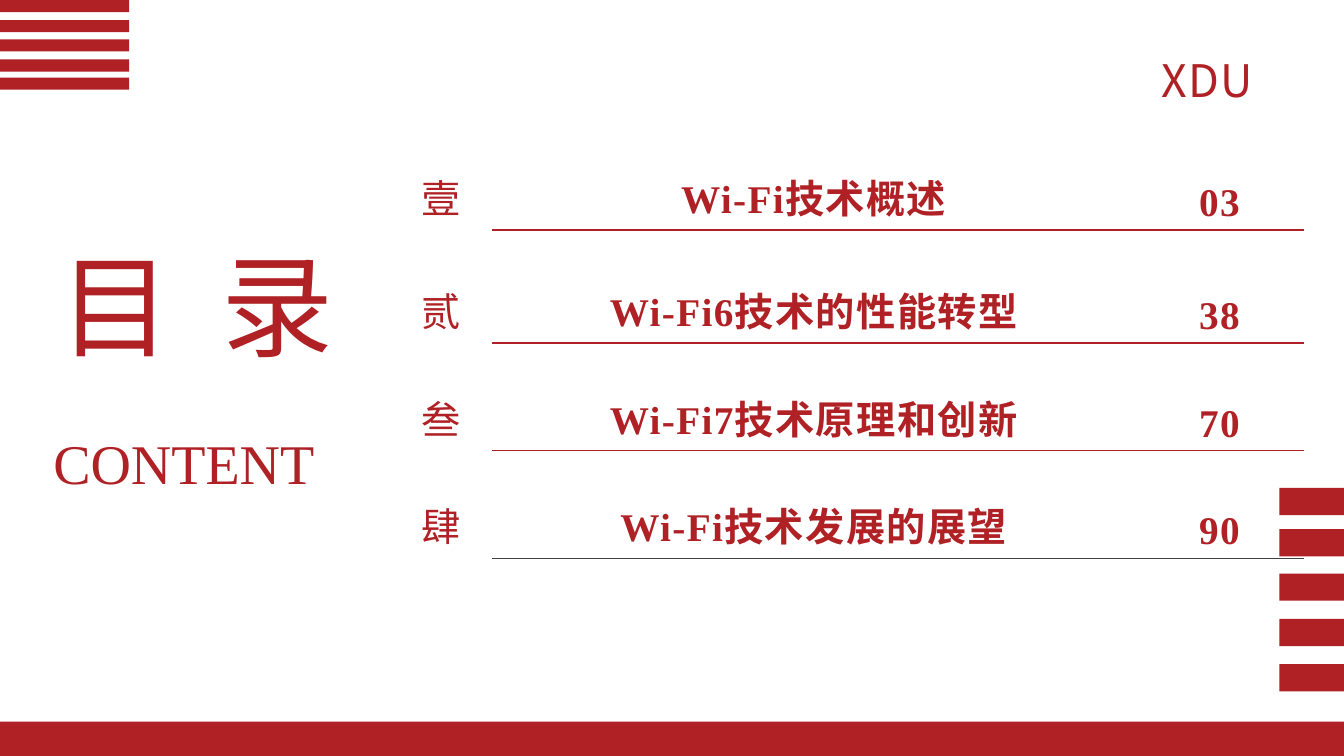
"""Builds the contents slide of a Wi-Fi technology lecture."""
from lxml.etree import SubElement
from pptx import Presentation
from pptx.dml.color import RGBColor
from pptx.enum.shapes import MSO_SHAPE
from pptx.enum.text import MSO_ANCHOR, PP_ALIGN
from pptx.oxml.ns import qn
from pptx.util import Inches, Pt

COLORS = {"red": "AF2125", "dark": "404040"}
SANS, SERIF = "Noto Sans CJK SC", "Times New Roman"


def write(frame, text, size, font, bold=False, spacing=0, align=PP_ALIGN.LEFT, leading=1.0):
    """Fill a text frame with one styled paragraph."""
    frame.word_wrap = True
    paragraph = frame.paragraphs[0]
    paragraph.alignment, paragraph.line_spacing = align, leading
    run = paragraph.add_run()
    run.text = text
    for key, value in {"size": Pt(size), "name": font, "bold": bold}.items():
        setattr(run.font, key, value)
    run.font.color.rgb = RGBColor.from_string(COLORS["red"])
    properties = run.font._element
    properties.set("spc", str(spacing * 100))
    SubElement(properties, qn("a:ea")).set("typeface", SANS)


def set_border(cell, side, color=None, width=1.5):
    """Draw one side of a cell, or hide it when no color is given."""
    line = SubElement(cell._tc.get_or_add_tcPr(), qn(f"a:{side}"))
    if color:
        line.set("w", str(Pt(width)))
        fill = SubElement(line, qn("a:solidFill"))
        SubElement(fill, qn("a:srgbClr")).set("val", COLORS[color])
    else:
        SubElement(line, qn("a:noFill"))


prs = Presentation()
prs.slide_width, prs.slide_height = Inches(13.33), Inches(7.5)
slide = prs.slides.add_slide(prs.slide_layouts[6])

headings = [
    ((11.42, 0.31, 1.21, 0.74), "XDU", 32, SANS, 1, 1.3),
    ((0.49, 2.3, 3.11, 1.45), "目 录", 80, SANS, 9, 1.0),
    ((0.43, 4.2, 3.35, 0.77), "CONTENT", 40, SERIF, 0, 1.0),
]
for place, text, size, font, spacing, leading in headings:
    heading = slide.shapes.add_textbox(*map(Inches, place))
    write(heading.text_frame, text, size, font, spacing=spacing, leading=leading)

chapters = [
    ("壹", "Wi-Fi技术概述", "03"),
    ("贰", "Wi-Fi6技术的性能转型", "38"),
    ("叁", "Wi-Fi7技术原理和创新", "70"),
    ("肆", "Wi-Fi技术发展的展望", "90"),
]
contents = slide.shapes.add_table(
    len(chapters), 3, Inches(3.86), Inches(1.21), Inches(9.07), Inches(4.32)).table
contents.first_row = contents.horz_banding = False
for column, width in zip(contents.columns, (1.02, 6.38, 1.67)):
    column.width = Inches(width)
for row, height in zip(contents.rows, (1.07, 1.12, 1.07, 1.07)):
    row.height = Inches(height)

last = len(chapters) - 1
for r, chapter in enumerate(chapters):
    for c, text in enumerate(chapter):
        cell = contents.cell(r, c)
        cell.vertical_anchor = MSO_ANCHOR.BOTTOM
        write(cell.text_frame, text, 28, SERIF if c else SANS, bold=c > 0,
              spacing=1, align=PP_ALIGN.CENTER, leading=1.5)
        for side in ("lnL", "lnR"):
            set_border(cell, side)
        set_border(cell, "lnT", "red" if c and r else None)
        if c and r == last:
            set_border(cell, "lnB", "dark", 0.75)
        else:
            set_border(cell, "lnB", "red" if c else None)
        cell.fill.background()

bars = [(0, 7.16, 13.33, 0.34)]
bars += [(0, top, 1.28, 0.12) for top in (0, 0.2, 0.39, 0.59, 0.77)]
bars += [(12.69, top, 0.64, 0.27) for top in (6.59, 6.14, 5.69, 5.25, 4.84)]
for place in bars:
    bar = slide.shapes.add_shape(MSO_SHAPE.RECTANGLE, *map(Inches, place))
    bar.shadow.inherit = False
    bar.fill.solid()
    bar.fill.fore_color.rgb = RGBColor.from_string(COLORS["red"])
    bar.line.fill.background()

prs.save("out.pptx")
